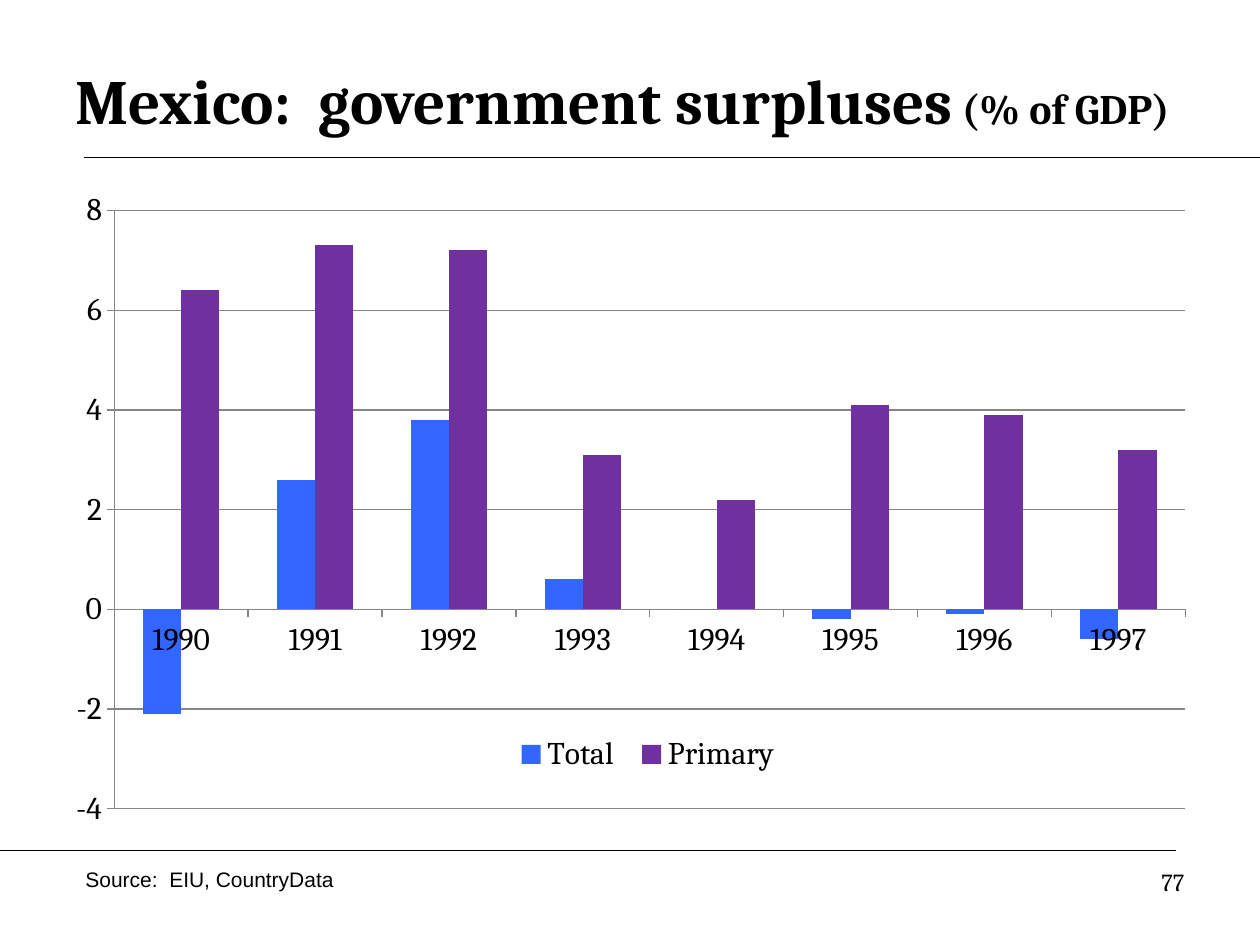
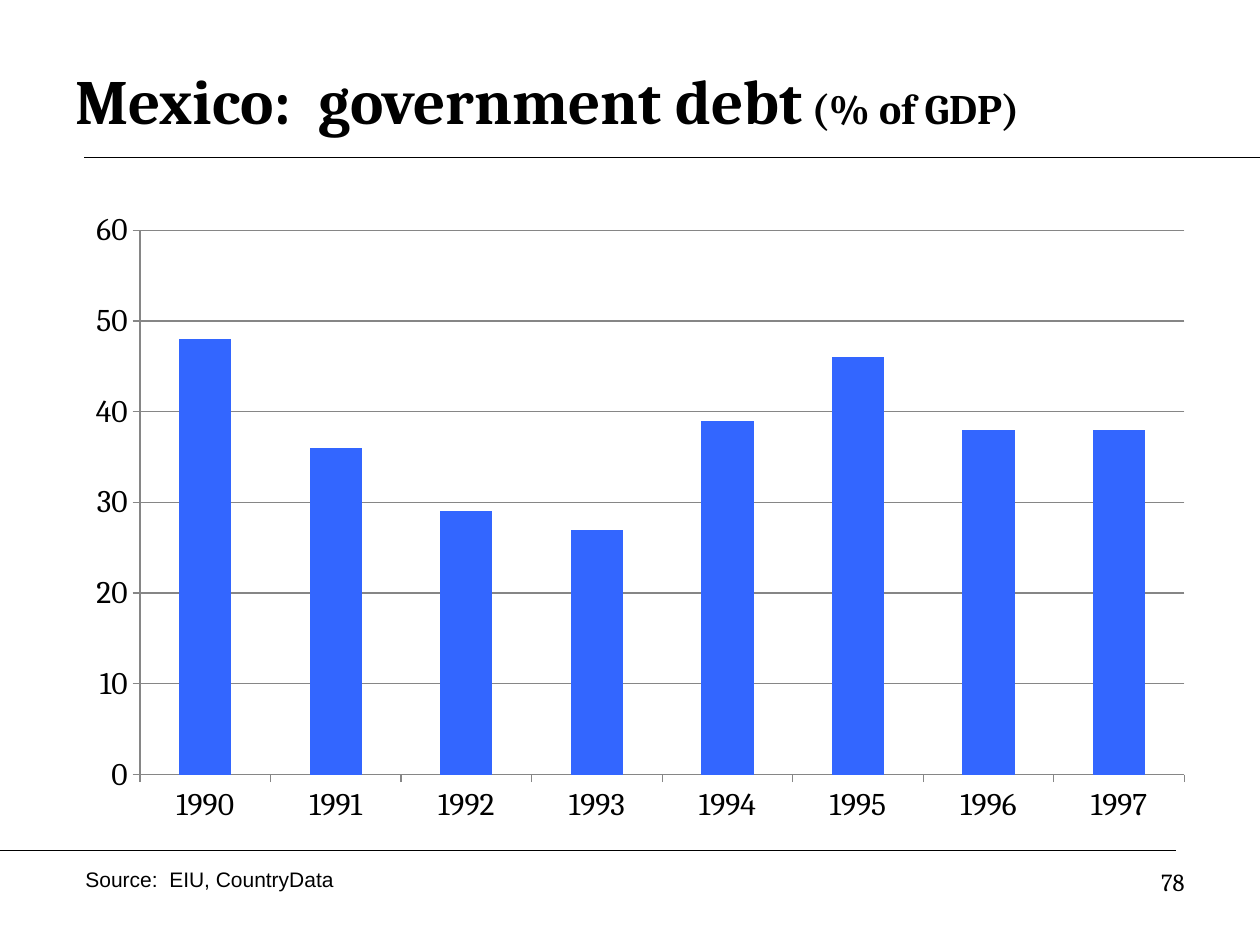
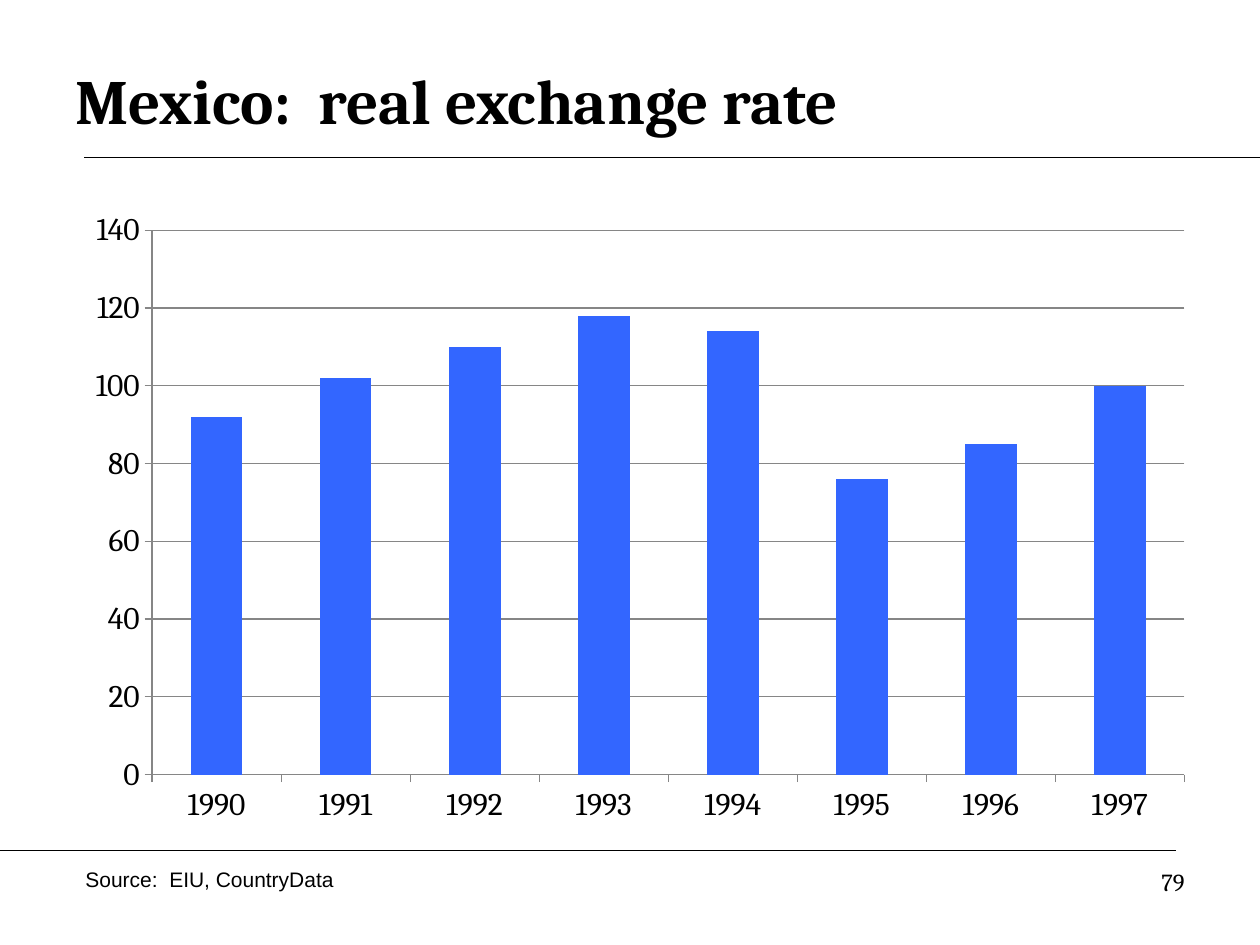
from dataclasses import dataclass

import pptx
import pptx.chart.data
import pptx.dml.color
import pptx.enum.chart
import pptx.enum.shapes
import pptx.enum.text
import pptx.oxml
import pptx.oxml.ns
import pptx.util
from pptx.dml.color import RGBColor
from pptx.util import Inches, Pt

# Shared style
BLACK = RGBColor(0x00, 0x00, 0x00)
GRAY = RGBColor(0x86, 0x86, 0x86)
BLUE = RGBColor(0x33, 0x66, 0xFF)
PURPLE = RGBColor(0x70, 0x30, 0xA0)
SERIF = "Cambria"
SANS = "Arial"
YEARS = [str(year) for year in range(1990, 1998)]
SOURCE = "Source:  EIU, CountryData"
FIRST_PAGE = 77
LEFT = pptx.enum.text.PP_ALIGN.LEFT
RIGHT = pptx.enum.text.PP_ALIGN.RIGHT


@dataclass(frozen=True)
class Box:
    left: float
    top: float
    width: float
    height: float

    def lengths(self) -> list[int]:
        return [Inches(v) for v in (self.left, self.top, self.width, self.height)]


@dataclass(frozen=True)
class Run:
    text: str
    size: int
    font: str = SERIF
    bold: bool = False


@dataclass(frozen=True)
class Series:
    name: str
    values: list[float]
    color: RGBColor


@dataclass(frozen=True)
class Scale:
    low: float
    high: float
    step: float


@dataclass(frozen=True)
class ChartSlide:
    title: str
    unit: str
    series: list[Series]
    scale: Scale
    title_width: float = 9
    chart_box: Box = Box(0.58, 1.58, 9, 5.06)


SLIDES = [
    ChartSlide(
        "Mexico:  government surpluses", " (% of GDP)",
        [Series("Total", [-2.1, 2.6, 3.8, 0.6, 0, -0.2, -0.1, -0.6], BLUE),
         Series("Primary", [6.4, 7.3, 7.2, 3.1, 2.2, 4.1, 3.9, 3.2], PURPLE)],
        Scale(-4, 8, 2), title_width=9.33, chart_box=Box(0.42, 1.42, 9.17, 5.25)),
    ChartSlide(
        "Mexico:  government debt", " (% of GDP)",
        [Series("Series 1", [48, 36, 29, 27, 39, 46, 38, 38], BLUE)],
        Scale(0, 60, 10)),
    ChartSlide(
        "Mexico:  real exchange rate", "",
        [Series("Series 1", [92, 102, 110, 118, 114, 76, 85, 100], BLUE)],
        Scale(0, 140, 20)),
]


def add_text(s, box: Box, runs: list[Run], align=LEFT,
             anchor=pptx.enum.text.MSO_ANCHOR.TOP) -> None:
    tf = s.shapes.add_textbox(*box.lengths()).text_frame
    tf.word_wrap = True
    tf.vertical_anchor = anchor
    p = tf.paragraphs[0]
    p.alignment = align
    for run in runs:
        r = p.add_run()
        r.text = run.text
        r.font.name = run.font
        r.font.size = Pt(run.size)
        r.font.bold = run.bold
        r.font.color.rgb = BLACK


def add_rule(s, start: float, end: float, y: float) -> None:
    line = s.shapes.add_connector(
        pptx.enum.shapes.MSO_CONNECTOR.STRAIGHT,
        Inches(start), Inches(y), Inches(end), Inches(y))
    line.line.color.rgb = BLACK
    line.line.width = Pt(0.75)
    sp_pr = line._element.spPr
    sp_pr.append(sp_pr.makeelement(pptx.oxml.ns.qn("a:effectLst"), {}))


def add_frame(s, content: ChartSlide, page: int) -> None:
    """Title, rules and footer."""
    add_rule(s, 0.67, 10, 1.25)
    add_rule(s, 0, 9.33, 6.75)
    runs = [Run(content.title, 36, bold=True)]
    if content.unit:
        runs.append(Run(content.unit, 24, bold=True))
    add_text(s, Box(0.5, 0.33, content.title_width, 0.92), runs,
             anchor=pptx.enum.text.MSO_ANCHOR.MIDDLE)
    add_text(s, Box(7.17, 6.83, 2.33, 0.52), [Run(str(page), 14)], RIGHT)
    add_text(s, Box(0.58, 6.83, 4.83, 0.3), [Run(SOURCE, 12, SANS)])


def style_line(line) -> None:
    line.color.rgb = GRAY
    line.width = Pt(0.75)


def place_legend(chart, x: float, y: float, w: float, h: float) -> None:
    """Put the legend inside the plot, in fractions of the chart area."""
    chart.has_legend = True
    legend = chart.legend
    legend.position = pptx.enum.chart.XL_LEGEND_POSITION.BOTTOM
    legend.include_in_layout = True
    for old in legend._element.findall(pptx.oxml.ns.qn("c:layout")):
        legend._element.remove(old)
    layout = pptx.oxml.parse_xml(
        f'<c:layout {pptx.oxml.ns.nsdecls("c")}><c:manualLayout>'
        '<c:xMode val="edge"/><c:yMode val="edge"/>'
        f'<c:x val="{x}"/><c:y val="{y}"/><c:w val="{w}"/><c:h val="{h}"/>'
        '</c:manualLayout></c:layout>')
    legend._element.find(pptx.oxml.ns.qn("c:legendPos")).addnext(layout)


def add_columns(s, content: ChartSlide) -> None:
    data = pptx.chart.data.CategoryChartData()
    data.categories = YEARS
    for series in content.series:
        data.add_series(series.name, series.values)
    chart = s.shapes.add_chart(
        pptx.enum.chart.XL_CHART_TYPE.COLUMN_CLUSTERED,
        *content.chart_box.lengths(), data).chart
    chart.has_title = False
    chart.has_legend = False
    chart.font.name = SERIF
    chart.font.size = Pt(18)
    chart.font.color.rgb = BLACK

    # Columns
    plot = chart.plots[0]
    plot.gap_width = 150
    plot.overlap = 0
    plot.vary_by_categories = False
    for drawn, series in zip(plot.series, content.series):
        drawn.invert_if_negative = False
        drawn.format.fill.solid()
        drawn.format.fill.fore_color.rgb = series.color

    # Axes
    for axis in (chart.category_axis, chart.value_axis):
        axis.major_tick_mark = pptx.enum.chart.XL_TICK_MARK.OUTSIDE
        axis.minor_tick_mark = pptx.enum.chart.XL_TICK_MARK.NONE
        style_line(axis.format.line)
    axis = chart.value_axis
    axis.minimum_scale = content.scale.low
    axis.maximum_scale = content.scale.high
    axis.major_unit = content.scale.step
    axis.has_major_gridlines = True
    style_line(axis.major_gridlines.format.line)

    if len(content.series) > 1:
        place_legend(chart, 0.39, 0.83, 0.25, 0.08)


def main() -> None:
    prs = pptx.Presentation()
    prs.slide_width = Inches(10)
    prs.slide_height = Inches(7.5)
    for page, content in enumerate(SLIDES, FIRST_PAGE):
        s = prs.slides.add_slide(prs.slide_layouts[6])
        add_frame(s, content, page)
        add_columns(s, content)
    prs.save("out.pptx")


if __name__ == "__main__":
    main()
